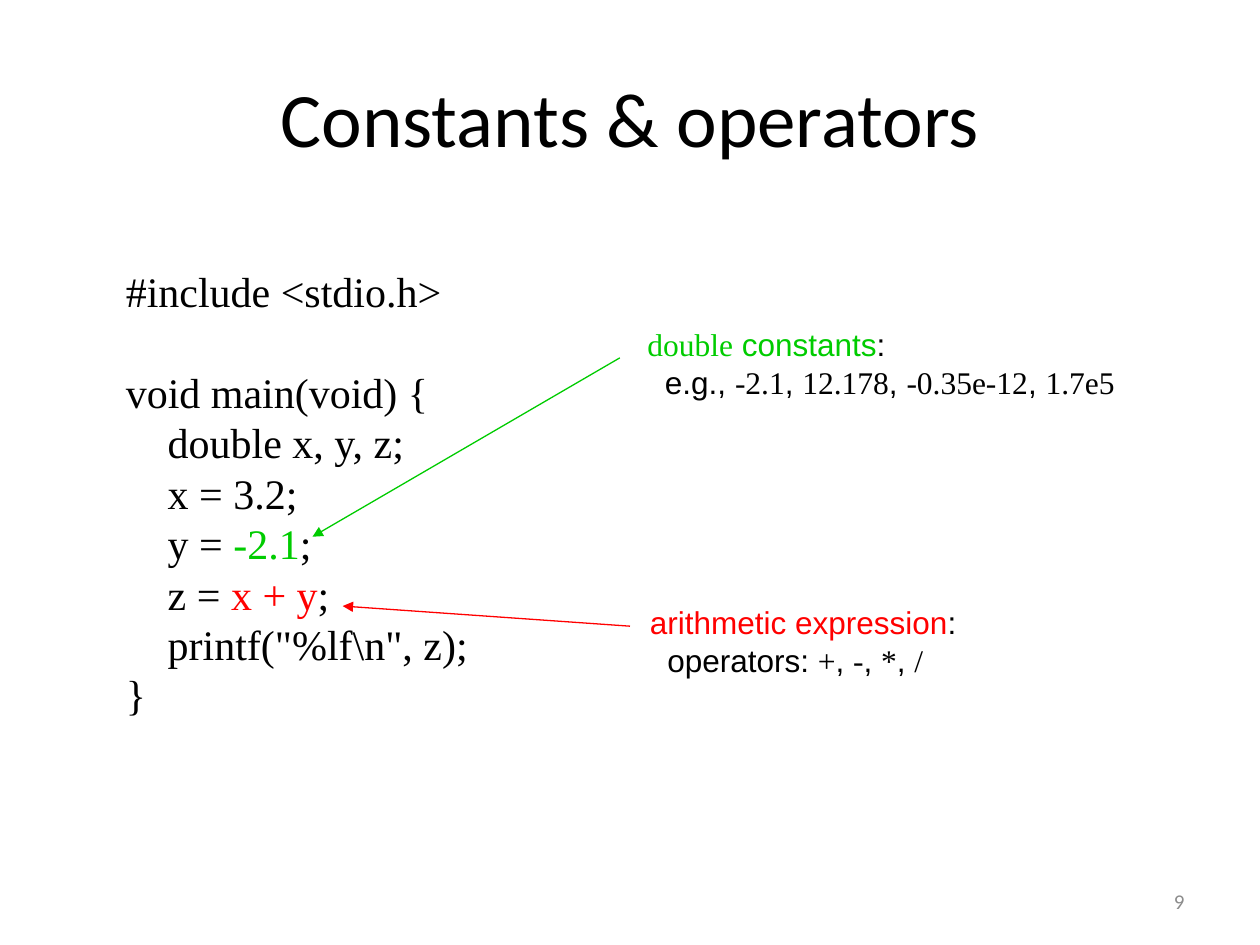
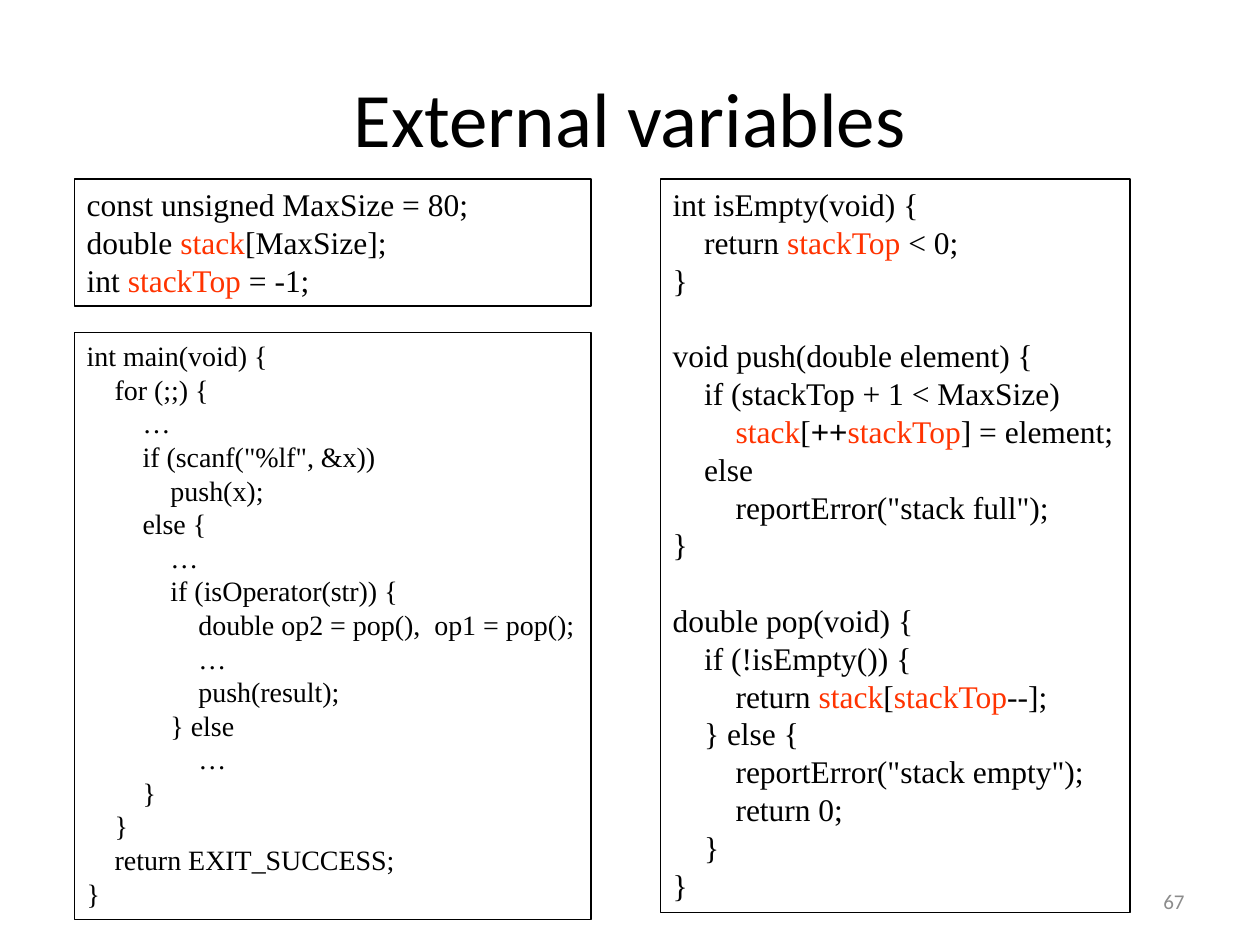
from dataclasses import dataclass
from lxml.etree import SubElement
from pptx import Presentation
from pptx.dml.color import RGBColor
from pptx.enum.shapes import MSO_CONNECTOR, MSO_SHAPE
from pptx.enum.text import MSO_ANCHOR, MSO_AUTO_SIZE, PP_ALIGN
from pptx.oxml.ns import qn
from pptx.util import Inches, Pt


@dataclass(frozen=True)
class Theme:
    ink: str = "000000"
    green: str = "00CC00"
    red: str = "FF0000"
    orange: str = "FF3300"
    gray: str = "8C8C8C"
    head: str = "Calibri"
    code: str = "Times New Roman"
    sans: str = "Arial"
    title: int = 44
    large: int = 24
    body: int = 18
    small: int = 16
    foot: int = 12
    line: float = 0.75
    lead: float = 1.2


T = Theme()
COLS, ROWS = 100, 75
WIDE, HIGH = Inches(10), Inches(7.5)
TITLE = (5, 3, 90, 12.5)
FOOT = (71.7, 69.5, 23.3, 4)

STACK = ("stack", T.orange)
TOP = ("stackTop", T.orange)

SUMS = [
    "#include <stdio.h>",
    "",
    "void main(void) {",
    "    double x, y, z;",
    "    x = 3.2;",
    ["    y = ", ("-2.1", T.green), ";"],
    ["    z = ", ("x + y", T.red), ";"],
    '    printf("%lf\\n", z);',
    "}",
]
GLOBALS = [
    "const unsigned MaxSize = 80;",
    ["double ", STACK, "[MaxSize];"],
    ["int ", TOP, " = -1;"],
]
MAIN = [
    "int main(void) {",
    "    for (;;) {",
    "        …",
    '        if (scanf("%lf", &x))',
    "            push(x);",
    "        else {",
    "            …",
    "            if (isOperator(str)) {",
    "                double op2 = pop(),  op1 = pop();",
    "                …",
    "                push(result);",
    "            } else",
    "                …",
    "        }",
    "    }",
    "    return EXIT_SUCCESS;",
    "}",
]
FUNCS = [
    "int isEmpty(void) {",
    ["    return ", TOP, " < 0;"],
    "}",
    "",
    "void push(double element) {",
    "    if (stackTop + 1 < MaxSize)",
    ["        ", STACK, "[", ("++", T.ink, T.sans), TOP, "] = element;"],
    "    else",
    '        reportError("stack full");',
    "}",
    "",
    "double pop(void) {",
    "    if (!isEmpty()) {",
    ["        return ", STACK, "[", TOP, "--];"],
    "    } else {",
    '        reportError("stack empty");',
    "        return 0;",
    "    }",
    "}",
]
NOTES = [
    {"head": [("arithmetic expression", T.red, T.sans)],
     "lead": "operators: ", "items": ["+", "-", "*", "/"],
     "box": (50.6, 47.4, 26.3, 7), "hue": T.red,
     "from": (50, 49.7), "to": (27.2, 48.1)},
    {"head": [("double", T.green), (" constants", T.green, T.sans)],
     "lead": "e.g., ", "items": ["-2.1", "12.178", "-0.35e-12", "1.7e5"],
     "box": (50.4, 25.3, 39.1, 7), "hue": T.green,
     "from": (49.2, 28.4), "to": (24.8, 42.6)},
]
LEFT, RIGHT, UPPER, SPAN = 5.9, 52.4, 14.2, 41
SLIDES = [
    {"title": "Constants & operators", "page": "9", "notes": NOTES,
     "code": [(SUMS, (9, 20.6, 29.4, 37.4), T.large, False)]},
    {"title": "External variables", "page": "67", "notes": [],
     "code": [(MAIN, (LEFT, 26.4, SPAN, 46.6), T.small, True),
              (GLOBALS, (LEFT, UPPER, SPAN, 10.1), T.body, True),
              (FUNCS, (RIGHT, UPPER, 37.3, 58.2), T.body, True)]},
]


def grid(*cells):
    units = (WIDE / COLS, HIGH / ROWS)
    return [round(cell * units[i % 2]) for i, cell in enumerate(cells)]


def write(para, text, size, hue=T.ink, face=T.code):
    run = para.add_run()
    run.text = text
    run.font.size = Pt(size)
    run.font.name = face
    run.font.color.rgb = RGBColor.from_string(hue)


def fill(frame, lines, size):
    frame.word_wrap = False
    frame.auto_size = MSO_AUTO_SIZE.SHAPE_TO_FIT_TEXT
    frame.vertical_anchor = MSO_ANCHOR.TOP
    gap, first = 0, True
    for line in lines:
        if not line:
            gap += size * T.lead
            continue
        para = frame.paragraphs[0] if first else frame.add_paragraph()
        para.alignment = PP_ALIGN.LEFT
        if gap:
            para.space_before = Pt(gap)
        for part in [line] if isinstance(line, str) else line:
            bits = (part,) if isinstance(part, str) else part
            write(para, bits[0], size, *bits[1:])
        gap, first = 0, False


def listing(slide, lines, box, size, framed):
    if framed:
        shape = slide.shapes.add_shape(MSO_SHAPE.RECTANGLE, *grid(*box))
        shape.shadow.inherit = False
        shape.fill.background()
        shape.line.color.rgb = RGBColor.from_string(T.ink)
        shape.line.width = Pt(T.line)
    else:
        shape = slide.shapes.add_textbox(*grid(*box))
    fill(shape.text_frame, lines, size)
    return shape


def arrow(slide, start, end, hue):
    link = slide.shapes.add_connector(
        MSO_CONNECTOR.STRAIGHT, *grid(*start, *end))
    link.line.color.rgb = RGBColor.from_string(hue)
    link.line.width = Pt(T.line)
    SubElement(link.line._get_or_add_ln(), qn("a:tailEnd"), type="triangle")
    SubElement(link._element.spPr, qn("a:effectLst"))


def note(slide, data):
    arrow(slide, data["from"], data["to"], data["hue"])
    items = [(data["lead"], T.ink, T.sans)]
    for i, item in enumerate(data["items"]):
        if i:
            items.append((", ", T.ink, T.sans))
        items.append(item)
    head = data["head"] + [(":", T.ink, T.sans)]
    shape = listing(slide, [head, items], data["box"], T.body, False)
    props = shape.text_frame.paragraphs[1]._p.get_or_add_pPr()
    props.set("marL", str(Pt(10)))
    props.set("indent", "0")


def label(shape, text, box, size, hue, align):
    shape.left, shape.top, shape.width, shape.height = grid(*box)
    frame = shape.text_frame
    frame.word_wrap = True
    frame.vertical_anchor = MSO_ANCHOR.MIDDLE
    para = frame.paragraphs[0]
    para.alignment = align
    write(para, text, size, hue, T.head)


def build(deck, data):
    slide = deck.slides.add_slide(deck.slide_layouts[5])
    label(slide.shapes.title, data["title"], TITLE, T.title, T.ink,
          PP_ALIGN.CENTER)
    for block in data["code"]:
        listing(slide, *block)
    for item in data["notes"]:
        note(slide, item)
    foot = slide.shapes.add_textbox(*grid(*FOOT))
    label(foot, data["page"], FOOT, T.foot, T.gray, PP_ALIGN.RIGHT)


def main():
    deck = Presentation()
    deck.slide_width, deck.slide_height = WIDE, HIGH
    for data in SLIDES:
        build(deck, data)
    deck.save("out.pptx")


if __name__ == "__main__":
    main()
